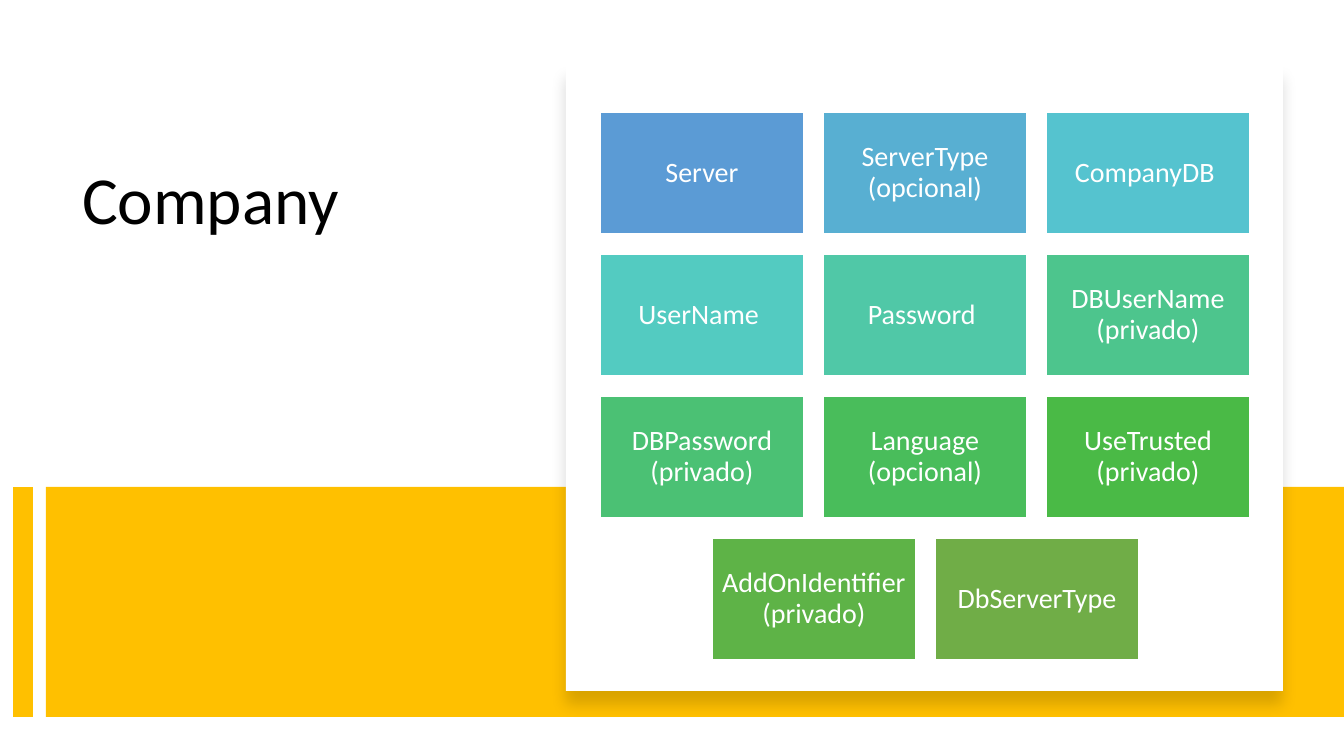
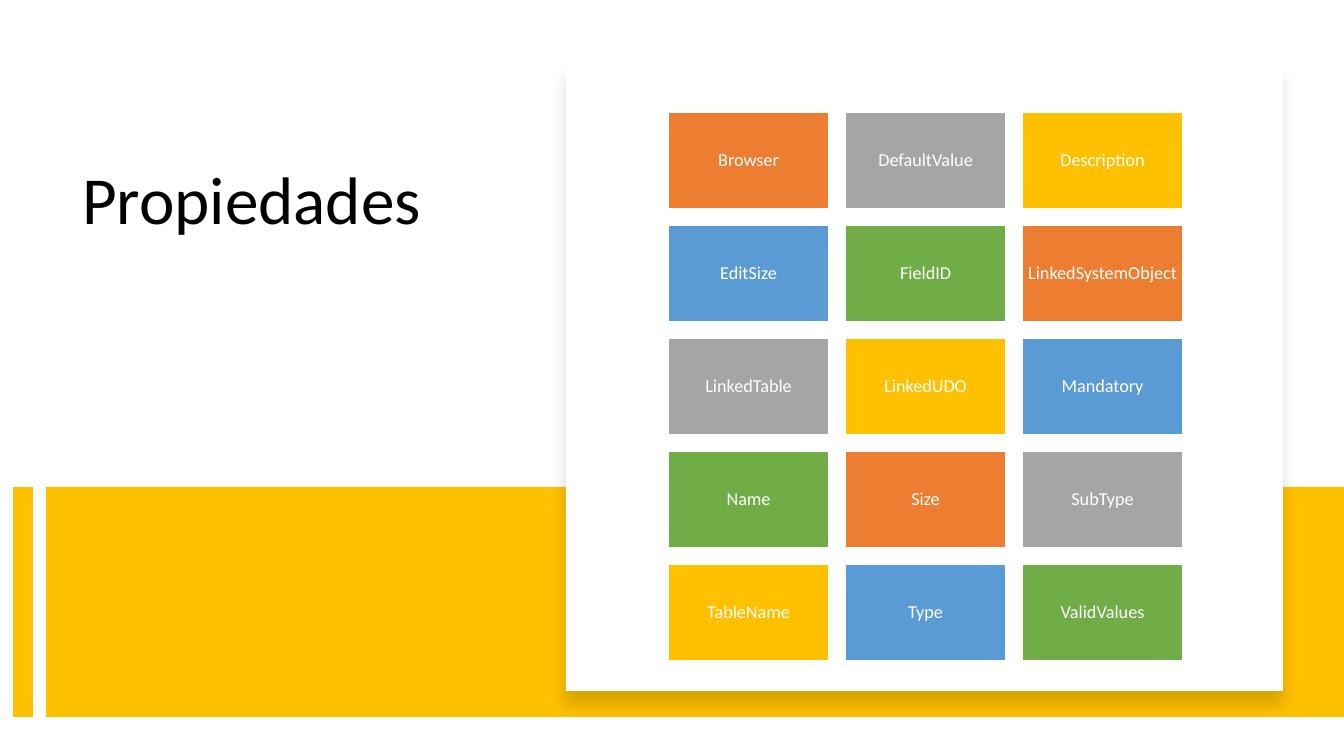
"""Builds two slides that show property names as grids of coloured tiles."""
from dataclasses import dataclass
from itertools import cycle

from lxml import etree
from pptx import Presentation
from pptx import util as u
from pptx.dml.color import RGBColor
from pptx.enum import shapes, text
from pptx.oxml import ns

PIXEL = 914400 / 100.8
SLIDE_WIDTH, SLIDE_HEIGHT = 1344, 756
BAND_TOP, BAND_HEIGHT = 487, 230
GRID_CENTER, GRID_TOP = 925, 112


@dataclass(frozen=True)
class Theme:
    font: str = "Calibri"
    ink: str = "000000"
    paper: str = "FFFFFF"
    band: str = "FFC000"
    title_size: int = 48
    line_spacing: float = 0.9
    stripe_width: int = 14
    shadow_opacity: int = 15
    shadow_blur: int = 11
    shadow_distance: int = 10
    ramp: tuple = ("5B9BD5", "58AFD2", "55C3CF", "53CBC1", "50C8A7", "4DC58D",
                   "4BC174", "49BD5B", "4ABA46", "5EB347", "70AD47")
    accents: tuple = ("ED7D31", "A5A5A5", "FFC000", "5B9BD5", "70AD47")


@dataclass(frozen=True)
class TileStyle:
    width: int
    height: int
    column_gap: int
    row_gap: int
    inset: int
    size: int
    colors: tuple


THEME = Theme()
LARGE_TILES = TileStyle(204, 122, 19, 20, 8, 20, THEME.ramp)
SMALL_TILES = TileStyle(161, 97, 16, 16, 5, 13, THEME.accents)

COMPANY = ("Server", "ServerType (opcional)", "CompanyDB ", "UserName ",
           "Password ", "DBUserName (privado)", "DBPassword (privado)",
           "Language (opcional)", "UseTrusted (privado)",
           "AddOnIdentifier (privado)", "DbServerType")
PROPERTIES = ("Browser", "DefaultValue", "Description", "EditSize", "FieldID",
              "LinkedSystemObject", "LinkedTable", "LinkedUDO", "Mandatory",
              "Name", "Size", "SubType", "TableName", "Type", "ValidValues")


def px(value):
    return u.Emu(round(value * PIXEL))


def rgb(color):
    return RGBColor.from_string(color)


def write(shape, content, size, color, align):
    shape.text_frame.text = content
    paragraph = shape.text_frame.paragraphs[0]
    paragraph.alignment = align
    paragraph.line_spacing = THEME.line_spacing
    font = paragraph.runs[0].font
    font.name, font.size = THEME.font, u.Pt(size)
    font.color.rgb = rgb(color)


def add_rectangle(slide, left, top, width, height, fill):
    shape = slide.shapes.add_shape(shapes.MSO_SHAPE.RECTANGLE, px(left),
                                   px(top), px(width), px(height))
    shape.shadow.inherit = False
    shape.fill.solid()
    shape.fill.fore_color.rgb = rgb(fill)
    shape.line.fill.background()
    return shape


def add_title(slide, content):
    title = slide.shapes.title
    title.left, title.top = px(72), px(161)
    title.width, title.height = px(418), px(296)
    frame = title.text_frame
    frame.word_wrap = True
    frame.auto_size = text.MSO_AUTO_SIZE.NONE
    frame.vertical_anchor = text.MSO_ANCHOR.TOP
    write(title, content, THEME.title_size, THEME.ink, text.PP_ALIGN.LEFT)


def add_band(slide):
    add_rectangle(slide, 46, BAND_TOP, SLIDE_WIDTH - 46, BAND_HEIGHT, THEME.band)
    stripe = slide.shapes.add_connector(
        shapes.MSO_CONNECTOR.STRAIGHT, px(23), px(BAND_TOP),
        px(23), px(BAND_TOP + BAND_HEIGHT))
    stripe.line.color.rgb = rgb(THEME.band)
    stripe.line.width = u.Pt(THEME.stripe_width)
    etree.SubElement(stripe._element.spPr, ns.qn("a:effectLst"))


def add_panel(slide):
    panel = add_rectangle(slide, 566, 65, 717, 626, THEME.paper)
    effects = panel._element.spPr.find(ns.qn("a:effectLst"))
    shadow = etree.SubElement(
        effects, ns.qn("a:outerShdw"), blurRad=str(u.Pt(THEME.shadow_blur)),
        dist=str(u.Pt(THEME.shadow_distance)), dir=str(90 * 60000),
        algn="t", rotWithShape="0")
    color = etree.SubElement(shadow, ns.qn("a:srgbClr"), val=THEME.ink)
    etree.SubElement(color, ns.qn("a:alpha"), val=str(THEME.shadow_opacity * 1000))


def add_tile(slide, left, top, label, color, style):
    tile = add_rectangle(slide, left, top, style.width, style.height, color)
    tile.line.color.rgb = rgb(THEME.paper)
    tile.line.width = u.Pt(1)
    frame = tile.text_frame
    frame.word_wrap = True
    frame.vertical_anchor = text.MSO_ANCHOR.MIDDLE
    frame.margin_left = frame.margin_right = px(style.inset)
    frame.margin_top = frame.margin_bottom = px(style.inset)
    write(tile, label, style.size, THEME.paper, text.PP_ALIGN.CENTER)


def add_grid(slide, labels, style, columns=3):
    colors = cycle(style.colors)
    column_step = style.width + style.column_gap
    row_step = style.height + style.row_gap
    for row, start in enumerate(range(0, len(labels), columns)):
        row_labels = labels[start:start + columns]
        row_width = len(row_labels) * column_step - style.column_gap
        left = GRID_CENTER - row_width // 2
        for column, label in enumerate(row_labels):
            add_tile(slide, left + column * column_step,
                     GRID_TOP + row * row_step, label, next(colors), style)


def add_grid_slide(presentation, title, labels, style):
    slide = presentation.slides.add_slide(presentation.slide_layouts[5])
    add_title(slide, title)
    add_band(slide)
    add_panel(slide)
    add_grid(slide, labels, style)


def main():
    presentation = Presentation()
    presentation.slide_width = px(SLIDE_WIDTH)
    presentation.slide_height = px(SLIDE_HEIGHT)
    add_grid_slide(presentation, "Company", COMPANY, LARGE_TILES)
    add_grid_slide(presentation, "Propiedades", PROPERTIES, SMALL_TILES)
    presentation.save("out.pptx")


main()
